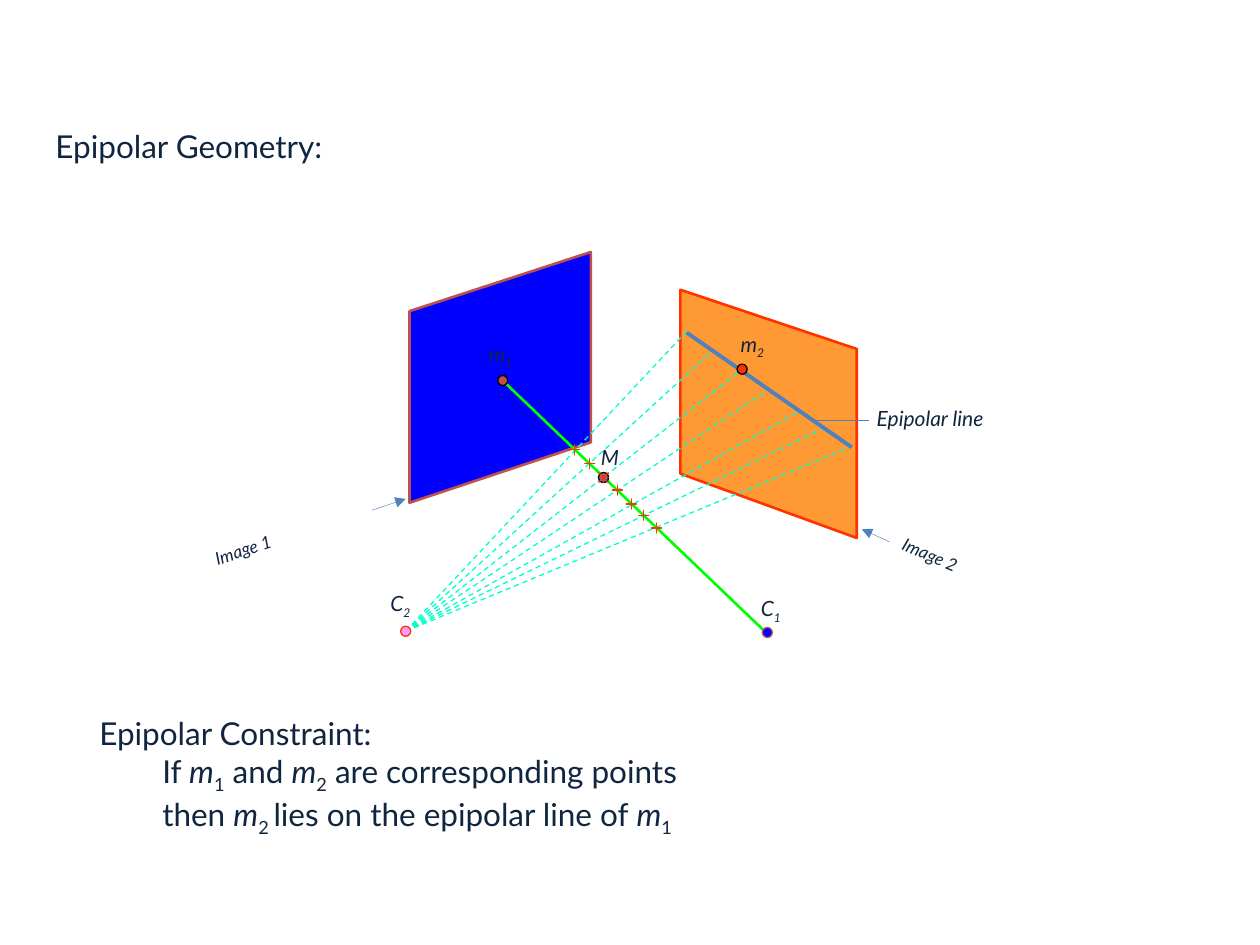
import pptx
import pptx.dml.color
import pptx.enum.dml
import pptx.enum.shapes
import pptx.enum.text
import pptx.oxml
import pptx.oxml.ns
import pptx.util
import lxml.etree

Inches = pptx.util.Inches
Pt = pptx.util.Pt
RGB = pptx.dml.color.RGBColor
Shape = pptx.enum.shapes.MSO_SHAPE
Dash = pptx.enum.dml.MSO_LINE.DASH
Align = pptx.enum.text.PP_ALIGN
Anchor = pptx.enum.text.MSO_ANCHOR
Fit = pptx.enum.text.MSO_AUTO_SIZE

NAVY = RGB(0x10, 0x25, 0x3F)
BLUE = RGB(0x00, 0x00, 0xFF)
STEEL = RGB(0x4F, 0x81, 0xBD)
BRICK = RGB(0xC0, 0x50, 0x4D)
RED = RGB(0xFF, 0x33, 0x00)
ORANGE = RGB(0xFF, 0x99, 0x33)
PINK = RGB(0xFF, 0x99, 0xFF)
AQUA = RGB(0x00, 0xFF, 0xCC)
GREEN = RGB(0x00, 0xFF, 0x00)
GREY = RGB(0xEA, 0xEA, 0xEA)
BLACK = RGB(0x00, 0x00, 0x00)

DOT = 0.08
HALF = DOT / 2


def set_all(item, values):
    for name, value in values.items():
        setattr(item, name, value)


class Sketch:
    def __init__(self, slide):
        self.slide = slide
        self.shapes = slide.shapes
        self.font = {"name": "Lato"}
        self.frame = {"word_wrap": True, "auto_size": Fit.NONE,
                      "vertical_anchor": Anchor.TOP}

    def add_runs(self, para, text, size, italic=False):
        """Split text at "|"; a leading * makes a piece italic, _ a subscript."""
        para.alignment = Align.LEFT
        for piece in text.split("|"):
            run = para.add_run()
            run.text = piece.lstrip("*_")
            set_all(run.font, {**self.font, "size": Pt(size),
                               "italic": italic or piece.startswith("*")})
            run.font.color.rgb = NAVY
            if piece.startswith("_"):
                run.font._element.set("baseline", "-25000")

    def title(self, box, text, size):
        holder = self.shapes.title
        names = ("left", "top", "width", "height")
        set_all(holder, dict(zip(names, map(Inches, box))))
        set_all(holder.text_frame, self.frame)
        self.add_runs(holder.text_frame.paragraphs[0], text, size)

    def text(self, box, lines, size, italic=False, turn=0, indent=0):
        """Add a text box; every line after the first is indented."""
        label = self.shapes.add_textbox(*map(Inches, box))
        label.rotation = turn
        frame = label.text_frame
        set_all(frame, self.frame)
        for i, line in enumerate(lines):
            para = frame.add_paragraph() if i else frame.paragraphs[0]
            self.add_runs(para, line, size, italic)
            if i and indent:
                para._p.get_or_add_pPr().set("marL", str(Inches(indent)))

    def paint(self, shape, fill, edge, width):
        shape.shadow.inherit = False
        shape.fill.solid()
        shape.fill.fore_color.rgb = fill
        shape.line.color.rgb = edge
        shape.line.width = Pt(width)

    def plane(self, points, fill, edge):
        first, *rest = [tuple(map(Inches, point)) for point in points]
        pen = self.shapes.build_freeform(*first)
        pen.add_line_segments(rest, close=True)
        self.paint(pen.convert_to_shape(), fill, edge, 1.5)

    def mark(self, kind, x, y, fill, edge):
        """Add a small shape centred on x, y."""
        shape = self.shapes.add_shape(
            kind, *map(Inches, (x - HALF, y - HALF, DOT, DOT)))
        if kind == Shape.STAR_4_POINT:
            shape.adjustments[0] = 0
        self.paint(shape, fill, edge, 0.75)

    def line(self, start, end, color, width=0.75, dash=None, arrow=False):
        link = self.shapes.add_connector(
            pptx.enum.shapes.MSO_CONNECTOR.STRAIGHT,
            *map(Inches, (*start, *end)))
        link.line.color.rgb = color
        set_all(link.line, {"width": Pt(width), "dash_style": dash})
        qn = pptx.oxml.ns.qn
        if arrow:
            lxml.etree.SubElement(link.line._get_or_add_ln(),
                                  qn("a:tailEnd"), type="triangle")
        lxml.etree.SubElement(link._element.spPr, qn("a:effectLst"))


def main():
    deck = pptx.Presentation()
    set_all(deck, {"slide_width": Inches(10), "slide_height": Inches(7.5)})
    art = Sketch(deck.slides.add_slide(deck.slide_layouts[5]))
    art.title((0.34, 0.96, 2.41, 0.4), "Epipolar Geometry:", 18)

    art.plane([(3.25, 2.47), (4.69, 2), (4.69, 3.51), (3.25, 3.99)], BLUE, BRICK)
    art.plane([(5.4, 2.3), (6.8, 2.77), (6.8, 4.27), (5.4, 3.76)], ORANGE, RED)

    rays = [(5.45, 2.63), (5.65, 2.79), (5.88, 2.94), (6.1, 3.09),
            (6.35, 3.26), (6.53, 3.4), (6.74, 3.55)]
    for end in rays:
        art.line((3.22, 5.01), end, AQUA, dash=Dash)
    art.line((4, 3.03), (6.09, 5.03), GREEN, 1.5)
    art.line((5.45, 2.64), (6.76, 3.55), STEEL, 2.25)

    dots = [(6.09, 5.02, BLUE, BRICK), (3.22, 5.01, PINK, RED),
            (5.89, 2.93, RED, BLACK), (3.99, 3.02, BRICK, BLACK),
            (4.79, 3.79, STEEL, BLACK)]
    for dot in dots:
        art.mark(Shape.OVAL, *dot)

    x, y = 4.79, 3.79
    for dx, dy in [(HALF, 0), (0, HALF), (HALF, -HALF), (HALF, HALF)]:
        art.line((x - dx, y - dy), (x + dx, y + dy), RED)
    stars = [(5.21, 4.19), (5.11, 4.09), (5.01, 4), (4.9, 3.89),
             (4.68, 3.68), (4.56, 3.57)]
    for star in stars:
        art.mark(Shape.STAR_4_POINT, *star, GREY, RED)

    labels = [((3.78, 2.66, 0.56, 0.3), "m|_1"),
              ((5.78, 2.58, 0.68, 0.3), "m|_2"),
              ((4.67, 3.48, 0.38, 0.3), "M"),
              ((3, 4.64, 0.38, 0.3), "C|_2"),
              ((5.94, 4.68, 0.38, 0.3), "C|_1"),
              ((6.86, 3.17, 1.21, 0.3), "Epipolar line")]
    for box, text in labels:
        art.text(box, [text], 12, italic=True)
    art.text((1.6, 4.22, 0.72, 0.27), ["Image 1"], 10, italic=True, turn=341.8)
    art.text((7.05, 4.28, 0.72, 0.27), ["Image 2"], 10, italic=True, turn=23.1)

    art.line((6.46, 3.34), (6.9, 3.34), STEEL)
    art.line((7.06, 4.3), (6.84, 4.2), STEEL, 0.25, arrow=True)
    art.line((2.95, 4.05), (3.22, 3.96), STEEL, 0.25, arrow=True)

    art.text((0.69, 5.62, 5.04, 1.31),
             ["Epipolar Constraint:",
              "If |*m|_1| and |*m|_2| are corresponding points",
              "then |*m|_2 |lies on the epipolar line of |*m|_1"],
             18, indent=0.5)
    deck.save("out.pptx")


if __name__ == "__main__":
    main()
